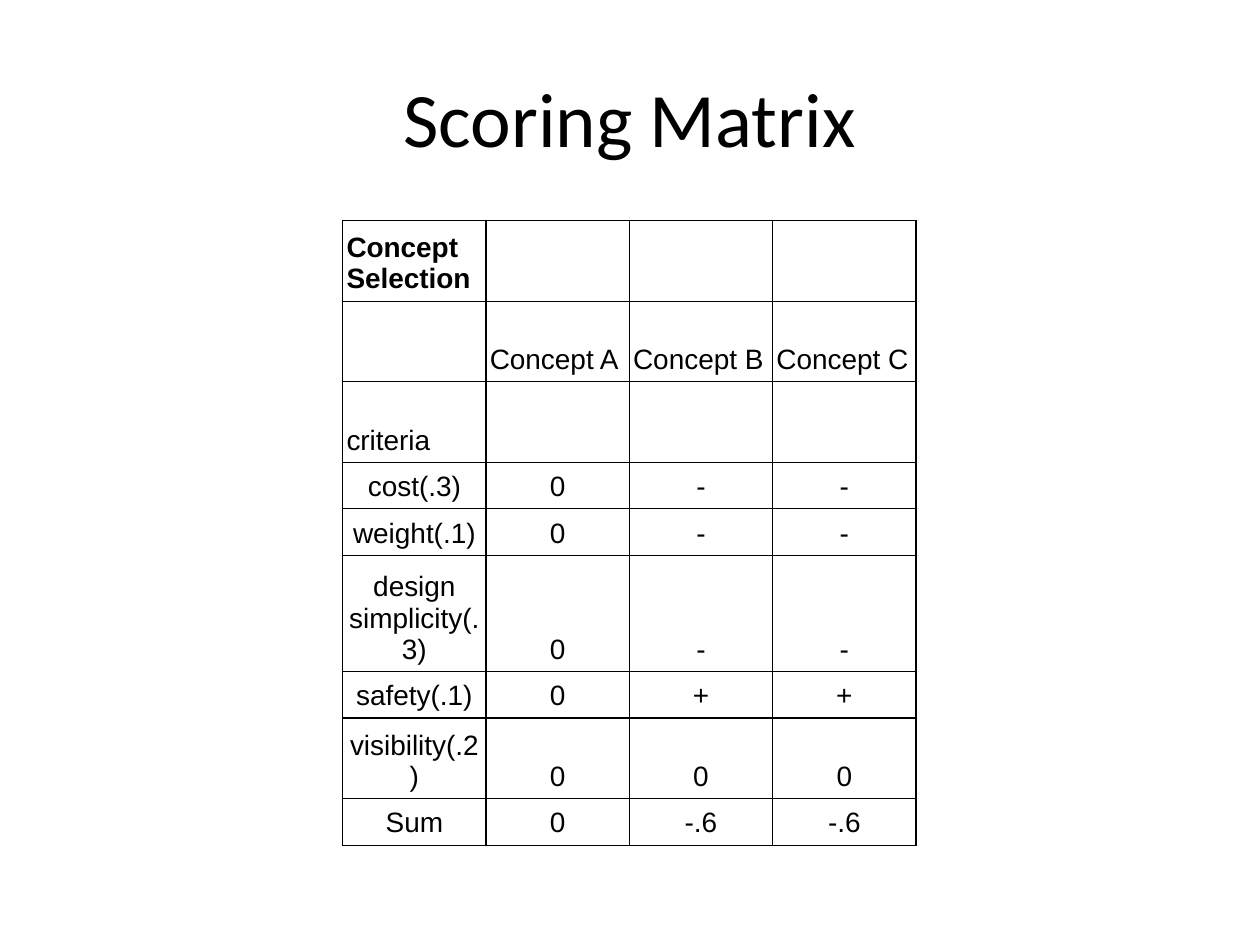
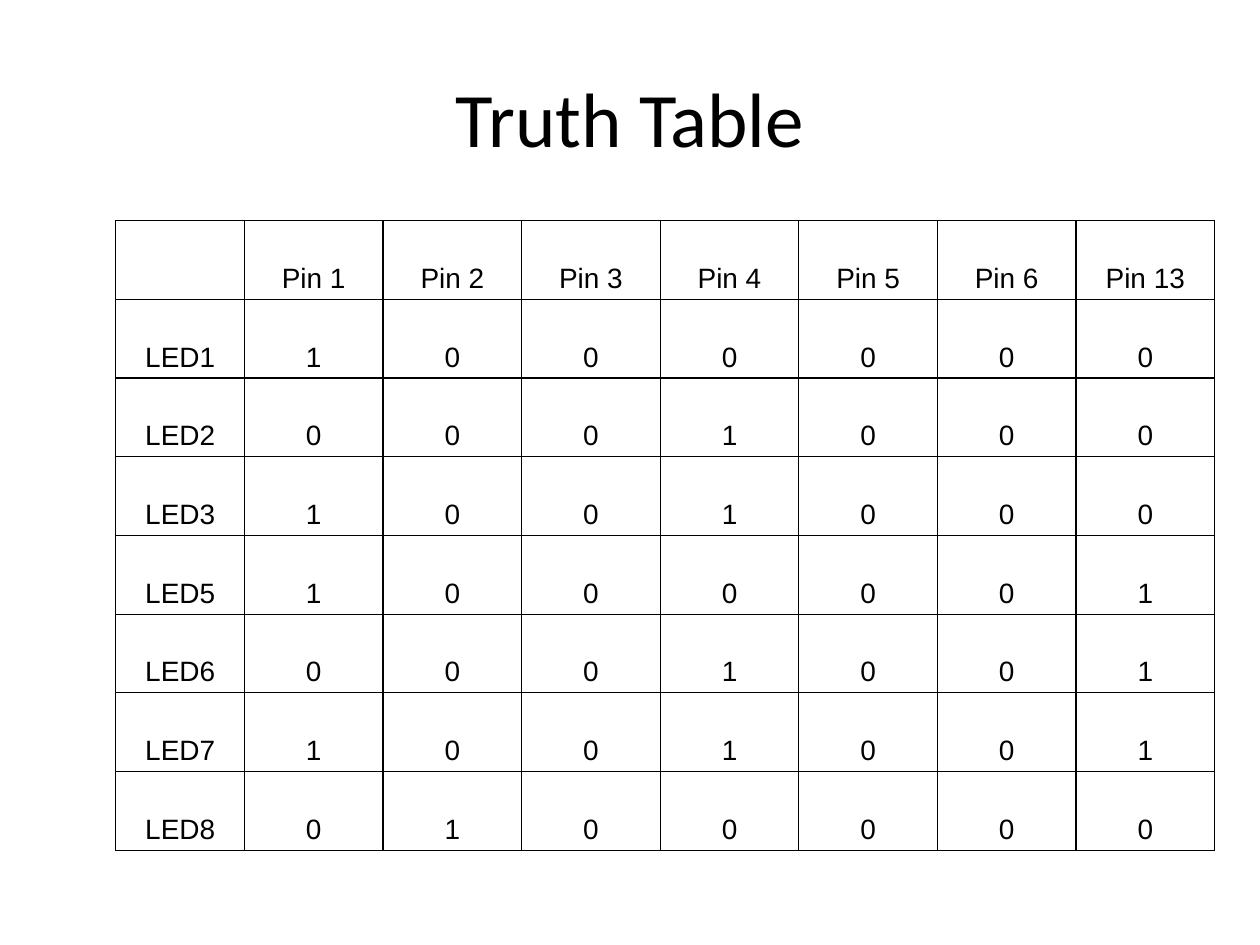
"""Build the scoring matrix and truth table slides."""
from typing import Any, NamedTuple

from lxml.etree import SubElement
from pptx import Presentation
from pptx.dml.color import RGBColor
from pptx.enum.text import MSO_ANCHOR as Anchor, PP_ALIGN as Align
from pptx.oxml.ns import qn
from pptx.slide import Slide
from pptx.table import _Cell as Cell
from pptx.text.text import _Paragraph as Paragraph
from pptx.util import Inches, Pt

BLACK = RGBColor(0x00, 0x00, 0x00)
WHITE = RGBColor(0xFF, 0xFF, 0xFF)
BORDER_WIDTH = Pt(0.75)
TABLE_TOP = 1.75
SIDE_MARGIN = 0.03
TITLE_FONT = {"name": "Calibri", "size": Pt(44), "bold": False}
BODY_FONT = {"name": "Arial", "size": Pt(16), "bold": False}
HEADING_FONT = BODY_FONT | {"bold": True}


class Grid(NamedTuple):
    """A titled table with its sizes in inches."""

    title: str
    left: float
    widths: list[float]
    heights: list[float]
    end_margin: float
    rows: list[list[str]]
    left_aligned_rows: int = 0
    heading: str = ""


SCORING = Grid(
    title="Scoring Matrix",
    left=2.72,
    widths=[4.55 / 4] * 4,
    heights=[0.64] * 3 + [0.37] * 2 + [0.92, 0.37, 0.64, 0.37],
    end_margin=0.05,
    rows=[
        ["Concept Selection", "", "", ""],
        ["", "Concept A", "Concept B", "Concept C"],
        ["criteria", "", "", ""],
        ["cost(.3)", "0", "-", "-"],
        ["weight(.1)", "0", "-", "-"],
        ["design simplicity(.3)", "0", "-", "-"],
        ["safety(.1)", "0", "+", "+"],
        ["visibility(.2)", "0", "0", "0"],
        ["Sum", "0", "-.6", "-.6"],
    ],
    left_aligned_rows=3,
    heading="Concept Selection",
)

PINS = [1, 2, 3, 4, 5, 6, 13]
LED_STATES = {
    1: "1000000",
    2: "0001000",
    3: "1001000",
    5: "1000001",
    6: "0001001",
    7: "1001001",
    8: "0100000",
}
TRUTH = Grid(
    title="Truth Table",
    left=0.92,
    widths=[1.02] + [1.1] * len(PINS),
    heights=[5 / 8] * 8,
    end_margin=0.04,
    rows=[["", *(f"Pin {pin}" for pin in PINS)]]
    + [[f"LED{led}", *states] for led, states in LED_STATES.items()],
)


def apply_format(target: Any, values: dict[str, Any]) -> None:
    """Set each named attribute on the target."""
    for name, value in values.items():
        setattr(target, name, value)


def write_text(para: Paragraph, text: str, font: dict[str, Any], align: Align) -> None:
    """Write one aligned black run, or only its font where there is no text."""
    para.alignment = align
    para.font.size = font["size"]
    if text:
        span = para.add_run()
        span.text = text
        apply_format(span.font, font)
        span.font.color.rgb = BLACK


def add_borders(cell: Cell) -> None:
    """Draw a thin black line on every side of the cell."""
    properties = cell._tc.get_or_add_tcPr()
    for side in ("lnL", "lnR", "lnT", "lnB"):
        line = SubElement(properties, qn(f"a:{side}"), w=str(BORDER_WIDTH))
        fill = SubElement(line, qn("a:solidFill"))
        SubElement(fill, qn("a:srgbClr"), val=str(BLACK))


def add_title(page: Slide, title: str) -> None:
    """Add the centred slide title."""
    box = page.shapes.add_textbox(Inches(0.5), Inches(0.3), Inches(9), Inches(1.25))
    apply_format(box.text_frame, {"word_wrap": True, "vertical_anchor": Anchor.MIDDLE})
    write_text(box.text_frame.paragraphs[0], title, TITLE_FONT, Align.CENTER)


def add_grid(page: Slide, grid: Grid) -> None:
    """Add the bordered table described by the grid."""
    table = page.shapes.add_table(
        len(grid.heights), len(grid.widths), Inches(grid.left), Inches(TABLE_TOP),
        Inches(sum(grid.widths)), Inches(sum(grid.heights)),
    ).table
    apply_format(table, {"first_row": False, "horz_banding": False})
    for column, width in zip(table.columns, grid.widths):
        column.width = Inches(width)
    for row, height in zip(table.rows, grid.heights):
        row.height = Inches(height)
    cell_format = {
        "vertical_anchor": Anchor.BOTTOM,
        "margin_left": Inches(SIDE_MARGIN),
        "margin_right": Inches(SIDE_MARGIN),
        "margin_top": Inches(grid.end_margin),
        "margin_bottom": Inches(grid.end_margin),
    }
    for row_index, texts in enumerate(grid.rows):
        align = Align.LEFT if row_index < grid.left_aligned_rows else Align.CENTER
        for column_index, text in enumerate(texts):
            cell = table.cell(row_index, column_index)
            apply_format(cell, cell_format)
            add_borders(cell)
            cell.fill.solid()
            cell.fill.fore_color.rgb = WHITE
            font = HEADING_FONT if text == grid.heading else BODY_FONT
            write_text(cell.text_frame.paragraphs[0], text, font, align)


def main() -> None:
    """Build and save the deck."""
    deck = Presentation()
    apply_format(deck, {"slide_width": Inches(10), "slide_height": Inches(7.5)})
    for grid in (SCORING, TRUTH):
        page = deck.slides.add_slide(deck.slide_layouts[6])
        add_title(page, grid.title)
        add_grid(page, grid)
    deck.save("out.pptx")


if __name__ == "__main__":
    main()
